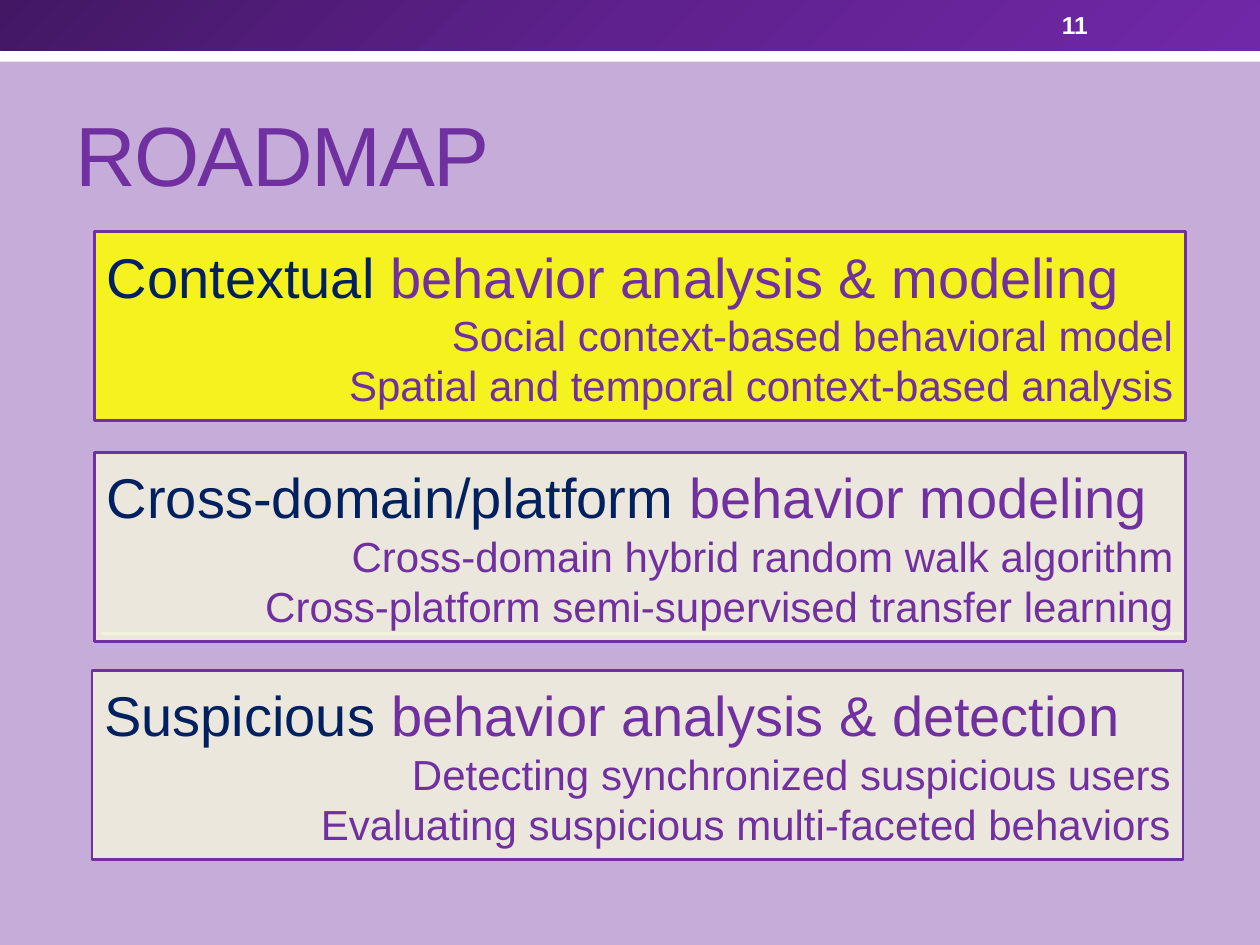
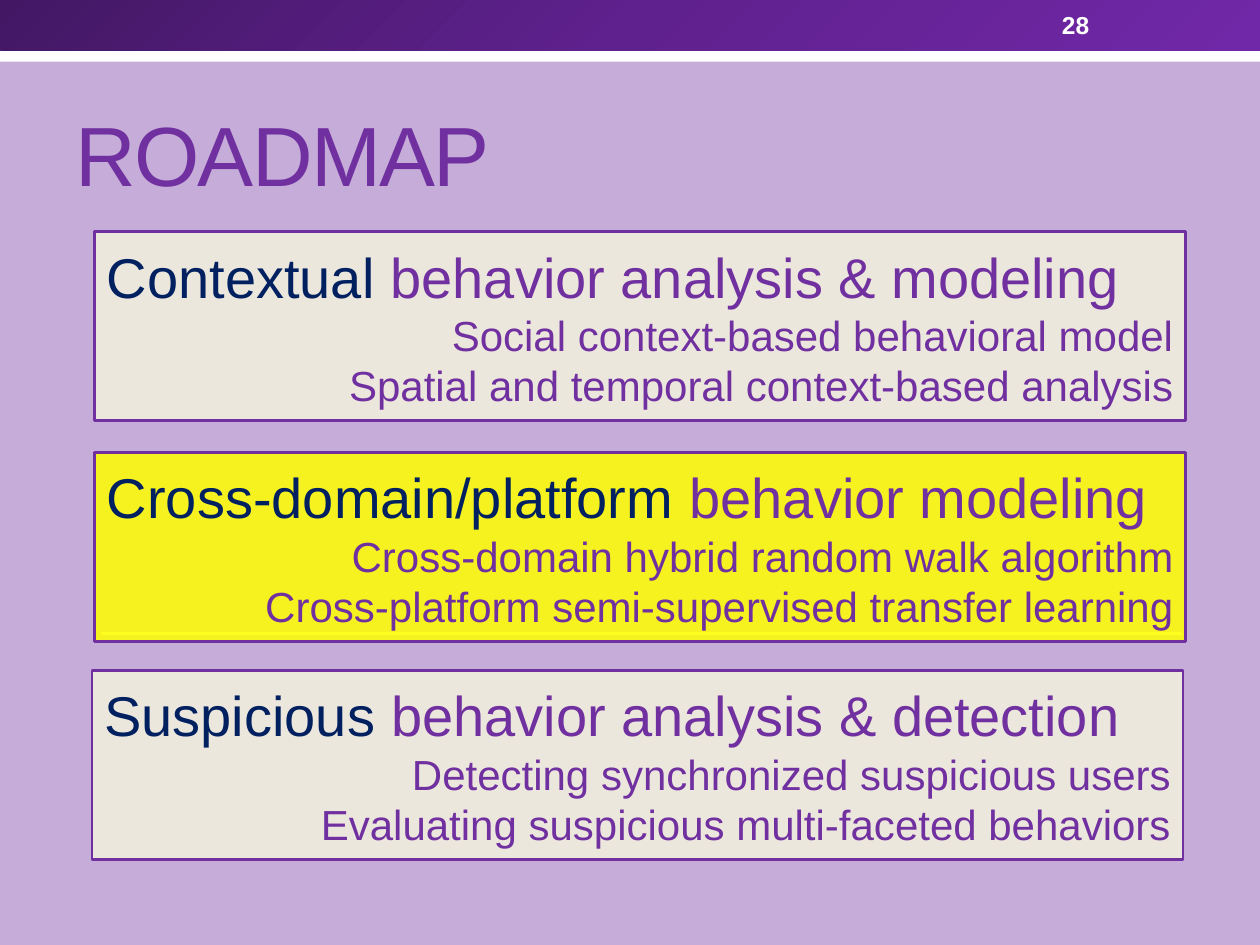
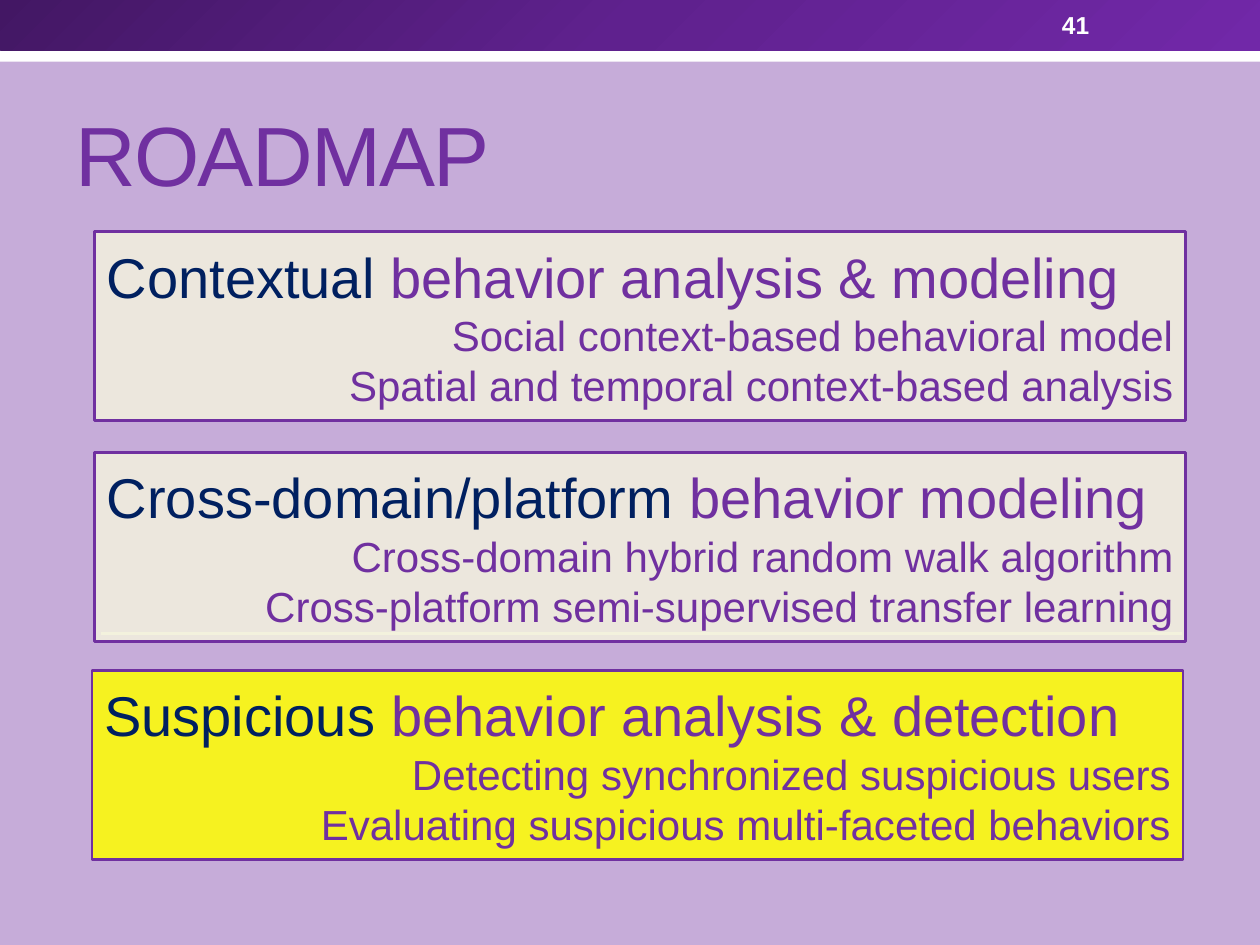
from copy import deepcopy

from lxml.etree import SubElement
from pptx import Presentation
from pptx.dml.color import RGBColor
from pptx.enum.shapes import MSO_CONNECTOR, MSO_SHAPE
from pptx.enum.text import MSO_ANCHOR, PP_ALIGN
from pptx.oxml.ns import qn
from pptx.util import Pt

PX = 9144  # EMU per px, 100 px to the inch
FONT = "Arial"
PURPLE, NAVY, WHITE = "7030A0", "002060", "FFFFFF"
LILAC, CREAM, YELLOW, RULE = "C6ACD9", "F3F2DE", "FFFF00", "F3F2DC"
BAND = ((0, "431764"), (0.5, "5F218E"), (1, "7128A8"))

# box, key word, rest of the heading, details
TOPICS = (
    ((75, 184, 866, 150), "Contextual ", "behavior analysis & modeling",
     ("Social context-based behavioral model",
      "Spatial and temporal context-based analysis")),
    ((75, 359, 866, 150), "Cross-domain/platform ", "behavior modeling",
     ("Cross-domain hybrid random walk algorithm",
      "Cross-platform semi-supervised transfer learning")),
    ((73, 532, 866, 150), "Suspicious ", "behavior analysis & detection",
     ("Detecting synchronized suspicious users",
      "Evaluating suspicious multi-faceted behaviors")),
)
PAGES = (11, 28, 41)


def rgb(code):
    return RGBColor.from_string(code)


def emu(box):
    return [n * PX for n in box]


def style(run, size, color, bold=False):
    font = run.font
    font.name, font.size, font.bold = FONT, Pt(size), bold
    font.color.rgb = rgb(color)


def rect(slide, box, fill=None):
    shape = slide.shapes.add_shape(MSO_SHAPE.RECTANGLE, *emu(box))
    shape.shadow.inherit = False
    shape.line.fill.background()
    if fill:
        shape.fill.solid()
        shape.fill.fore_color.rgb = rgb(fill)
    return shape


def label(slide, box, text, size, color, anchor, bold=False):
    frame = slide.shapes.add_textbox(*emu(box)).text_frame
    frame.word_wrap = True
    frame.vertical_anchor = anchor
    frame.text = text
    run = frame.paragraphs[0].runs[0]
    style(run, size, color, bold)
    return run


def blend(shape, stops):
    """Fill a shape with a diagonal gradient of any number of stops."""
    fill = shape.fill
    fill.gradient()
    fill.gradient_angle = 315
    group = shape.element.spPr.find(qn("a:gradFill")).find(qn("a:gsLst"))
    for _ in stops[2:]:
        group.append(deepcopy(group[0]))
    for stop, (place, color) in zip(fill.gradient_stops, stops):
        stop.position = place
        stop.color.rgb = rgb(color)


def fade(shape, share):
    """Make a solid fill partly see-through; share is its opacity in percent."""
    color = shape.element.spPr.find(qn("a:solidFill"))[0]
    SubElement(color, qn("a:alpha")).set("val", str(share * 1000))


def rule(slide, left, right, top):
    line = slide.shapes.add_connector(
        MSO_CONNECTOR.STRAIGHT, *emu((left, top, right, top)))
    line.line.color.rgb = rgb(RULE)
    line.line.width = Pt(1.5)
    SubElement(line.element.spPr, qn("a:effectLst"))


def frame_page(slide, page):
    """Draw the background, top band, rule and page number."""
    back = slide.background.fill
    back.solid()
    back.fore_color.rgb = rgb(LILAC)
    rect(slide, (0, 24, 1000, 25), WHITE)
    blend(rect(slide, (0, 0, 1000, 40)), BAND)
    rule(slide, 80, 938, 503)
    label(slide, (833, 2, 117, 36), str(page), 14, WHITE,
          MSO_ANCHOR.MIDDLE, True)


def title(slide, text):
    run = label(slide, (50, 58, 900, 108), text, 48, PURPLE, MSO_ANCHOR.BOTTOM)
    run.font._element.set("spc", "-100")


def card(slide, box, key, rest, details, fill):
    shape = rect(slide, box, fill)
    fade(shape, 85)
    shape.line.color.rgb = rgb(PURPLE)
    shape.line.width = Pt(1.5)
    frame = shape.text_frame
    frame.word_wrap = True
    frame.vertical_anchor = MSO_ANCHOR.MIDDLE
    head = frame.paragraphs[0]
    head.alignment = PP_ALIGN.LEFT
    for text, color in ((key, NAVY), (rest, PURPLE)):
        run = head.add_run()
        run.text = text
        style(run, 32, color)
    for text in details:
        para = frame.add_paragraph()
        para.text = text
        para.alignment = PP_ALIGN.RIGHT
        style(para.runs[0], 24, PURPLE)


def roadmap(deck, page, active):
    slide = deck.slides.add_slide(deck.slide_layouts[6])
    frame_page(slide, page)
    title(slide, "ROADMAP")
    for spot, topic in enumerate(TOPICS):
        card(slide, *topic, YELLOW if spot == active else CREAM)


def main():
    deck = Presentation()
    deck.slide_width, deck.slide_height = emu((1000, 750))
    for active, page in enumerate(PAGES):
        roadmap(deck, page, active)
    deck.save("out.pptx")


if __name__ == "__main__":
    main()
